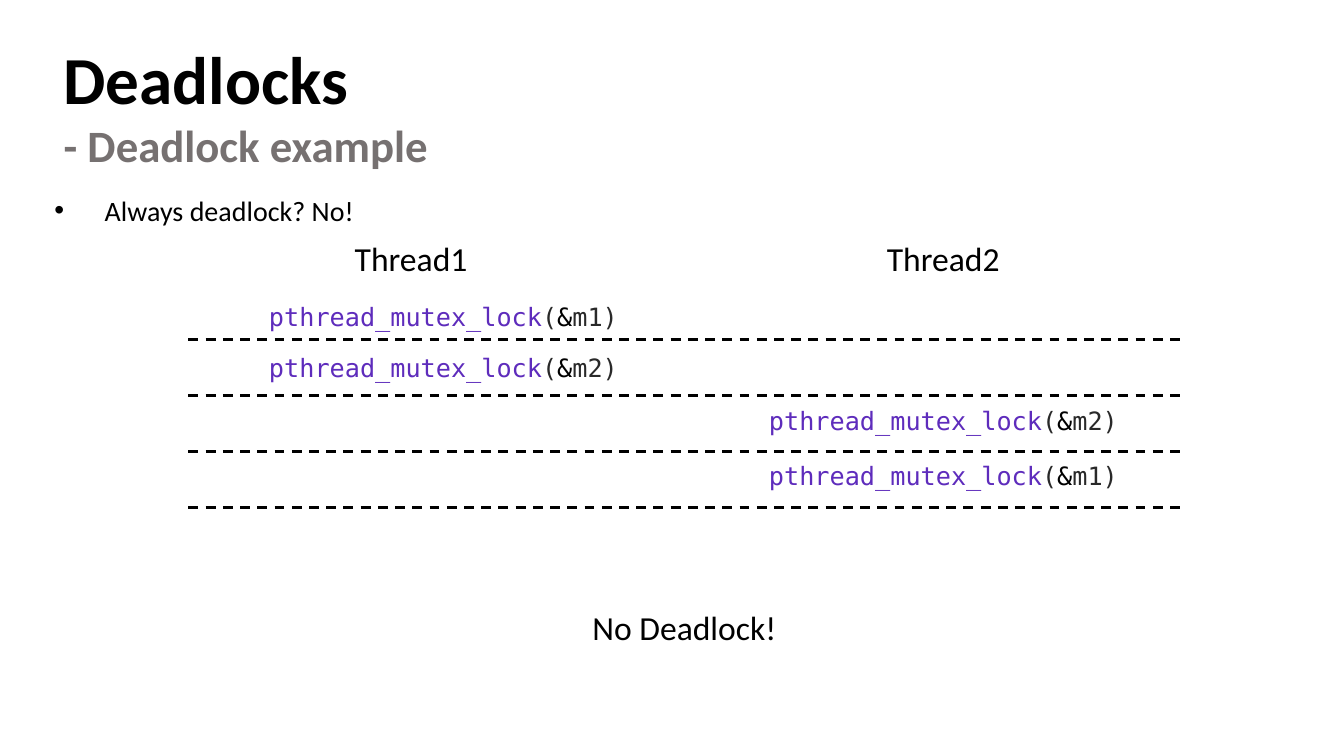
import dataclasses

import lxml.etree
import pptx
import pptx.dml.color
import pptx.enum.dml
import pptx.enum.shapes
import pptx.enum.text
import pptx.oxml.ns
import pptx.util

Cm = pptx.util.Cm
Pt = pptx.util.Pt


@dataclasses.dataclass(frozen=True)
class Theme:
    sans: str = "Calibri"
    mono: str = "DejaVu Sans Mono"
    ink: str = "000000"
    subtitle: str = "767171"
    function: str = "5E2CBC"
    argument: str = "292929"
    title_size: int = 48
    subtitle_size: int = 32
    label_size: int = 24
    body_size: int = 20
    code_size: int = 18
    rule_width: float = 1.75


THEME = Theme()
THREADS = [
    {"name": "Thread1", "heading_left": 3.94, "code_left": 1.78},
    {"name": "Thread2", "heading_left": 17.35, "code_left": 14.38},
]
LOCKS = [
    {"thread": 0, "mutex": "m1", "top": 1.6},
    {"thread": 0, "mutex": "m2", "top": 2.89},
    {"thread": 1, "mutex": "m2", "top": 4.21},
    {"thread": 1, "mutex": "m1", "top": 5.61},
]
FIRST_RULE = 2.69
RULE_STEP = 1.41


def add_span(para, text, size, color=THEME.ink, font=THEME.sans, bold=False):
    span = para.add_run()
    span.text = text
    span.font.name = font
    span.font.size = Pt(size)
    span.font.bold = bold
    span.font.color.rgb = pptx.dml.color.RGBColor.from_string(color)


def add_box(page, left, top, width, height, wrap=False):
    box = page.shapes.add_textbox(Cm(left), Cm(top), Cm(width), Cm(height))
    box.text_frame.word_wrap = wrap
    return box.text_frame.paragraphs[0]


def add_bullet(para, symbol, indent):
    properties = para._p.get_or_add_pPr()
    properties.set("marL", str(Cm(indent)))
    properties.set("indent", str(-Cm(indent)))
    for tag, name, value in (("a:buFont", "typeface", "Arial"), ("a:buChar", "char", symbol)):
        lxml.etree.SubElement(properties, pptx.oxml.ns.qn(tag)).set(name, value)


def add_rule(page, left, top, width):
    rule = page.shapes.add_connector(
        pptx.enum.shapes.MSO_CONNECTOR.STRAIGHT, Cm(left), Cm(top), Cm(left + width), Cm(top))
    rule.line.color.rgb = pptx.dml.color.RGBColor.from_string(THEME.ink)
    rule.line.width = Pt(THEME.rule_width)
    rule.line.dash_style = pptx.enum.dml.MSO_LINE.DASH
    lxml.etree.SubElement(rule._element.spPr, pptx.oxml.ns.qn("a:effectLst"))


def fill_title(page, left, top, width, height):
    title = page.shapes.title
    title.left, title.top, title.width, title.height = Cm(left), Cm(top), Cm(width), Cm(height)
    frame = title.text_frame
    frame.word_wrap = False
    frame.auto_size = pptx.enum.text.MSO_AUTO_SIZE.NONE
    frame.vertical_anchor = pptx.enum.text.MSO_ANCHOR.TOP
    heading, subheading = frame.paragraphs[0], frame.add_paragraph()
    for para in (heading, subheading):
        para.alignment = pptx.enum.text.PP_ALIGN.LEFT
        para.space_before = Pt(0)
    add_span(heading, "Deadlocks", THEME.title_size, bold=True)
    add_span(subheading, "- Deadlock example", THEME.subtitle_size, color=THEME.subtitle, bold=True)


def add_question(page, left, top, width, height):
    para = add_box(page, left, top, width, height, wrap=True)
    add_bullet(para, "•", indent=1.27)
    add_span(para, "Always deadlock? No!", THEME.body_size)


def add_lock_call(page, left, top, mutex):
    para = add_box(page, left, top, 9.3, 1.02)
    for text, color in (
        ("pthread_mutex_lock", THEME.function),
        ("(", THEME.argument),
        ("&", THEME.ink),
        (mutex + ")", THEME.argument),
    ):
        add_span(para, text, THEME.code_size, color=color, font=THEME.mono)


def add_timeline(page, left, top, width):
    for thread in THREADS:
        para = add_box(page, left + thread["heading_left"], top, 3.38, 1.27)
        add_span(para, thread["name"], THEME.label_size)
    for row, lock in enumerate(LOCKS):
        code_left = left + THREADS[lock["thread"]]["code_left"]
        add_lock_call(page, code_left, top + lock["top"], lock["mutex"])
        add_rule(page, left, top + FIRST_RULE + row * RULE_STEP, width)


def add_conclusion(page, left, top, width, height):
    para = add_box(page, left, top, width, height)
    add_span(para, "No Deadlock!", THEME.label_size)


def main():
    deck = pptx.Presentation()
    deck.slide_width, deck.slide_height = Cm(33.87), Cm(19.05)
    page = deck.slides.add_slide(deck.slide_layouts.get_by_name("Title Only"))
    fill_title(page, 1.35, 0.81, 9.78, 3.68)
    add_question(page, 1.12, 4.75, 27.3, 1.12)
    add_timeline(page, 4.75, 5.87, 25)
    add_conclusion(page, 14.68, 15.16, 5.18, 1.27)
    deck.save("out.pptx")


if __name__ == "__main__":
    main()
